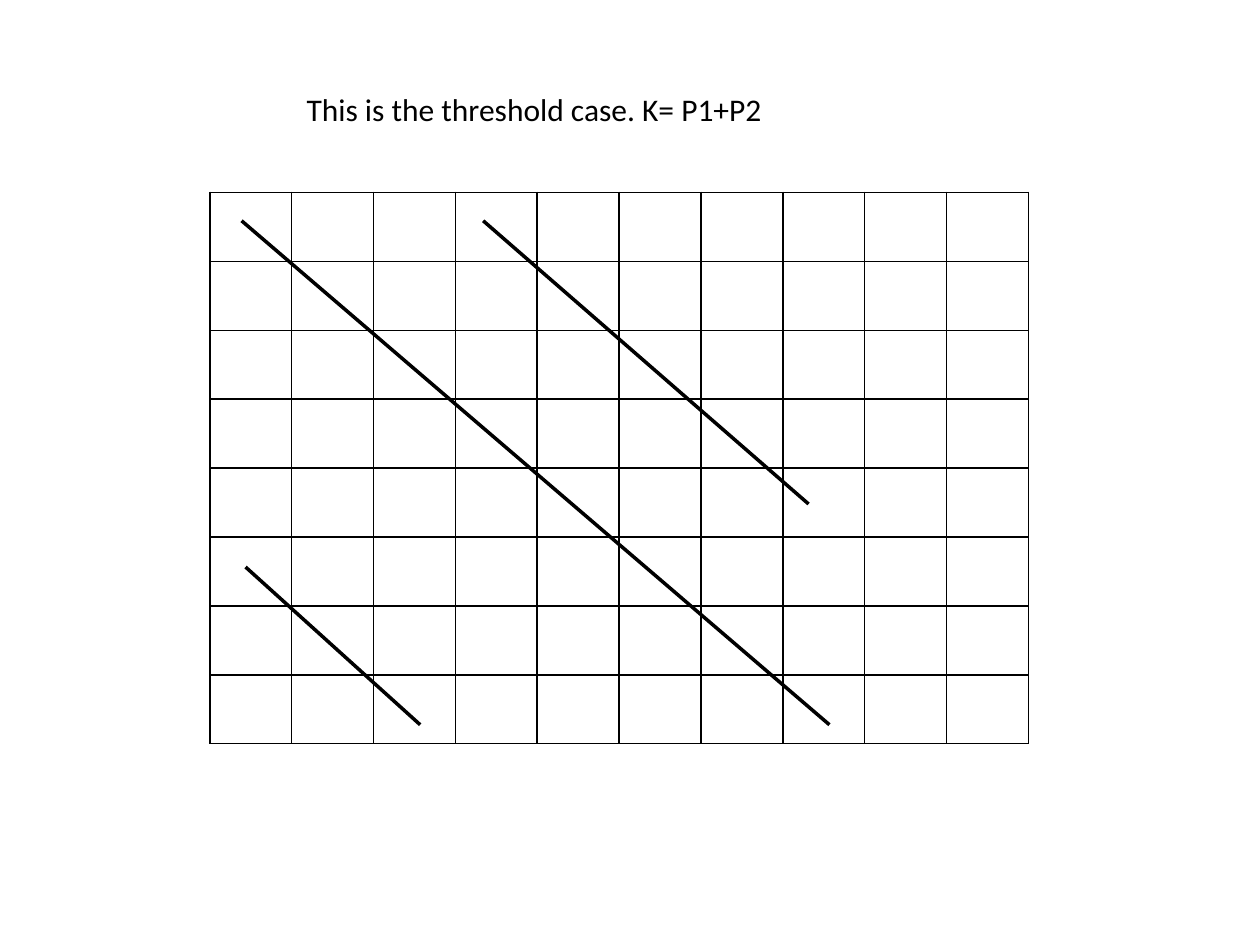
from lxml import etree
from pptx import Presentation
from pptx.dml.color import RGBColor
from pptx.enum.shapes import MSO_CONNECTOR
from pptx.enum.text import MSO_AUTO_SIZE
from pptx.oxml.ns import qn
from pptx.util import Cm, Pt

BLACK = RGBColor(0, 0, 0)


class ThresholdSlide:
    font = "Calibri"
    text_size = Pt(18)
    border_width = Pt(1)
    diagonal_width = Pt(2)

    def __init__(self, slide):
        self.slide = slide

    def border(self, cell):
        props = cell._tc.get_or_add_tcPr()
        for position, side in enumerate(("lnL", "lnR", "lnT", "lnB")):
            line = etree.Element(qn(f"a:{side}"), w=str(int(self.border_width)))
            fill = etree.SubElement(line, qn("a:solidFill"))
            etree.SubElement(fill, qn("a:srgbClr"), val=str(BLACK))
            props.insert(position, line)

    def grid(self, left, top, rows, columns, cell_width, cell_height):
        table = self.slide.shapes.add_table(
            rows, columns, Cm(left), Cm(top),
            Cm(columns * cell_width), Cm(rows * cell_height)).table
        table.first_row = table.horz_banding = False
        for column in table.columns:
            column.width = Cm(cell_width)
        for row in table.rows:
            row.height = Cm(cell_height)
        for cell in table.iter_cells():
            cell.fill.background()
            self.border(cell)

    def diagonal(self, x1, y1, x2, y2):
        line = self.slide.shapes.add_connector(
            MSO_CONNECTOR.STRAIGHT, Cm(x1), Cm(y1), Cm(x2), Cm(y2))
        line.line.color.rgb = BLACK
        line.line.width = self.diagonal_width
        etree.SubElement(line._element.spPr, qn("a:effectLst"))

    def text(self, left, top, width, height, words):
        frame = self.slide.shapes.add_textbox(
            Cm(left), Cm(top), Cm(width), Cm(height)).text_frame
        frame.word_wrap = True
        frame.auto_size = MSO_AUTO_SIZE.SHAPE_TO_FIT_TEXT
        run = frame.paragraphs[0].add_run()
        run.text = words
        run.font.name = self.font
        run.font.size = self.text_size
        run.font.color.rgb = BLACK


deck = Presentation()
deck.slide_width, deck.slide_height = Cm(25.4), Cm(19.05)
page = ThresholdSlide(deck.slides.add_slide(deck.slide_layouts[6]))

# Empty grid
page.grid(4.23, 3.88, rows=8, columns=10, cell_width=1.65, cell_height=1.39)

# Diagonals across the grid
for ends in ((4.87, 4.45, 16.72, 14.61),
             (9.74, 4.45, 16.3, 10.16),
             (4.95, 11.43, 8.47, 14.61)):
    page.diagonal(*ends)

# Heading
page.text(5.93, 1.69, 12.7, 1.03, "This is the threshold case. K= P1+P2")

deck.save("out.pptx")
